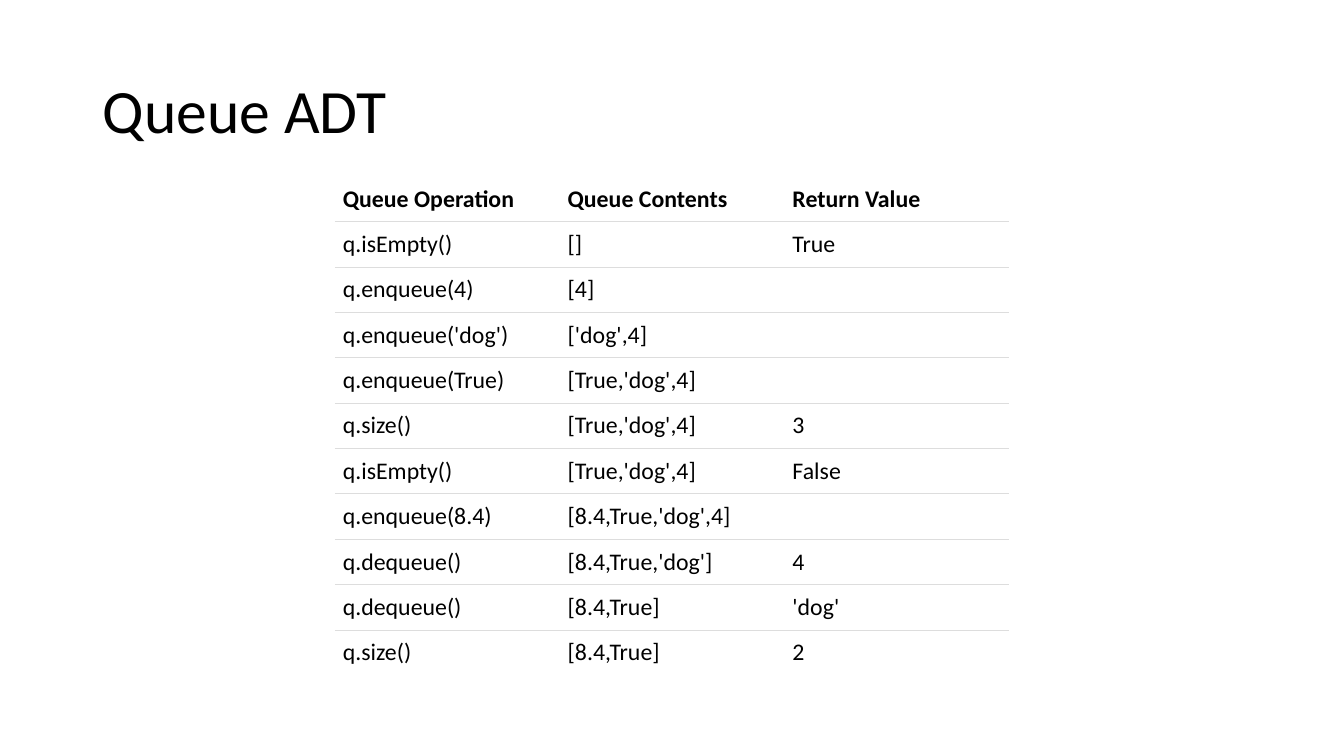
from lxml import etree
from pptx import Presentation
from pptx.dml.color import RGBColor
from pptx.enum.text import MSO_ANCHOR, PP_ALIGN
from pptx.oxml.ns import qn
from pptx.util import Inches, Pt

LEFT = PP_ALIGN.LEFT
TOP, MIDDLE, BOTTOM = MSO_ANCHOR.TOP, MSO_ANCHOR.MIDDLE, MSO_ANCHOR.BOTTOM
TITLE_ONLY = 5

WIDTH, HEIGHT = 13.33, 7.5
FONT, INK, PAPER, RULE = "Calibri", "000000", "FFFFFF", "DDDDDD"
TABLE_LEFT, TABLE_TOP = 3.32, 1.75
COLUMN_WIDTH, ROW_HEIGHT, CELL_MARGIN = 2.23, 0.45, 0.08

OPERATIONS = [
    ("Queue Operation", "Queue Contents", "Return Value"),
    ("q.isEmpty()", "[]", "True"),
    ("q.enqueue(4)", "[4]", ""),
    ("q.enqueue('dog')", "['dog',4]", ""),
    ("q.enqueue(True)", "[True,'dog',4]", ""),
    ("q.size()", "[True,'dog',4]", "3"),
    ("q.isEmpty()", "[True,'dog',4]", "False"),
    ("q.enqueue(8.4)", "[8.4,True,'dog',4]", ""),
    ("q.dequeue()", "[8.4,True,'dog']", "4"),
    ("q.dequeue()", "[8.4,True]", "'dog'"),
    ("q.size()", "[8.4,True]", "2"),
]


def color(value):
    return RGBColor.from_string(value)


def write(frame, text, size, bold=False, spacing=1.0):
    para = frame.paragraphs[0]
    para.alignment = LEFT
    para.line_spacing = spacing
    span = para.add_run()
    span.text = text
    span.font.name = FONT
    span.font.size = Pt(size)
    span.font.bold = bold
    span.font.color.rgb = color(INK)


def set_borders(cell, **edges):
    """Draw each edge in its colour; an edge without a colour is hidden."""
    properties = cell._tc.get_or_add_tcPr()
    for index, edge in enumerate("LRTB"):
        line = etree.Element(qn(f"a:ln{edge}"), w=str(Pt(0.75)))
        if edges.get(edge):
            fill = etree.SubElement(line, qn("a:solidFill"))
            etree.SubElement(fill, qn("a:srgbClr"), val=edges[edge])
        else:
            etree.SubElement(line, qn("a:noFill"))
        properties.insert(index, line)


def add_title(page, text):
    title = page.shapes.title
    title.left, title.top = Inches(0.92), Inches(0.4)
    title.width, title.height = Inches(11.5), Inches(1.45)
    title.text_frame.vertical_anchor = MIDDLE
    title.text_frame.word_wrap = True
    write(title.text_frame, text, size=44, spacing=0.9)


def fill_cell(cell, text, header):
    cell.fill.solid()
    cell.fill.fore_color.rgb = color(PAPER)
    cell.vertical_anchor = BOTTOM if header else TOP
    if text:
        cell.margin_left = cell.margin_right = Inches(CELL_MARGIN)
        cell.margin_top = cell.margin_bottom = Inches(CELL_MARGIN)
        write(cell.text_frame, text, size=17, bold=header)


def add_table(page, rows):
    row_count, column_count = len(rows), len(rows[0])
    table = page.shapes.add_table(
        row_count, column_count, Inches(TABLE_LEFT), Inches(TABLE_TOP),
        Inches(column_count * COLUMN_WIDTH), Inches(row_count * ROW_HEIGHT),
    ).table
    table.horz_banding = False
    for column in table.columns:
        column.width = Inches(COLUMN_WIDTH)
    for row_index, values in enumerate(rows):
        table.rows[row_index].height = Inches(ROW_HEIGHT)
        first, last = row_index == 0, row_index == row_count - 1
        for column_index, text in enumerate(values):
            cell = table.cell(row_index, column_index)
            fill_cell(cell, text, header=first)
            # Rules run only between rows
            set_borders(cell, T=None if first else RULE, B=None if last else RULE)


def main():
    deck = Presentation()
    deck.slide_width, deck.slide_height = Inches(WIDTH), Inches(HEIGHT)
    page = deck.slides.add_slide(deck.slide_layouts[TITLE_ONLY])
    add_title(page, "Queue ADT")
    add_table(page, OPERATIONS)
    deck.save("out.pptx")


if __name__ == "__main__":
    main()
